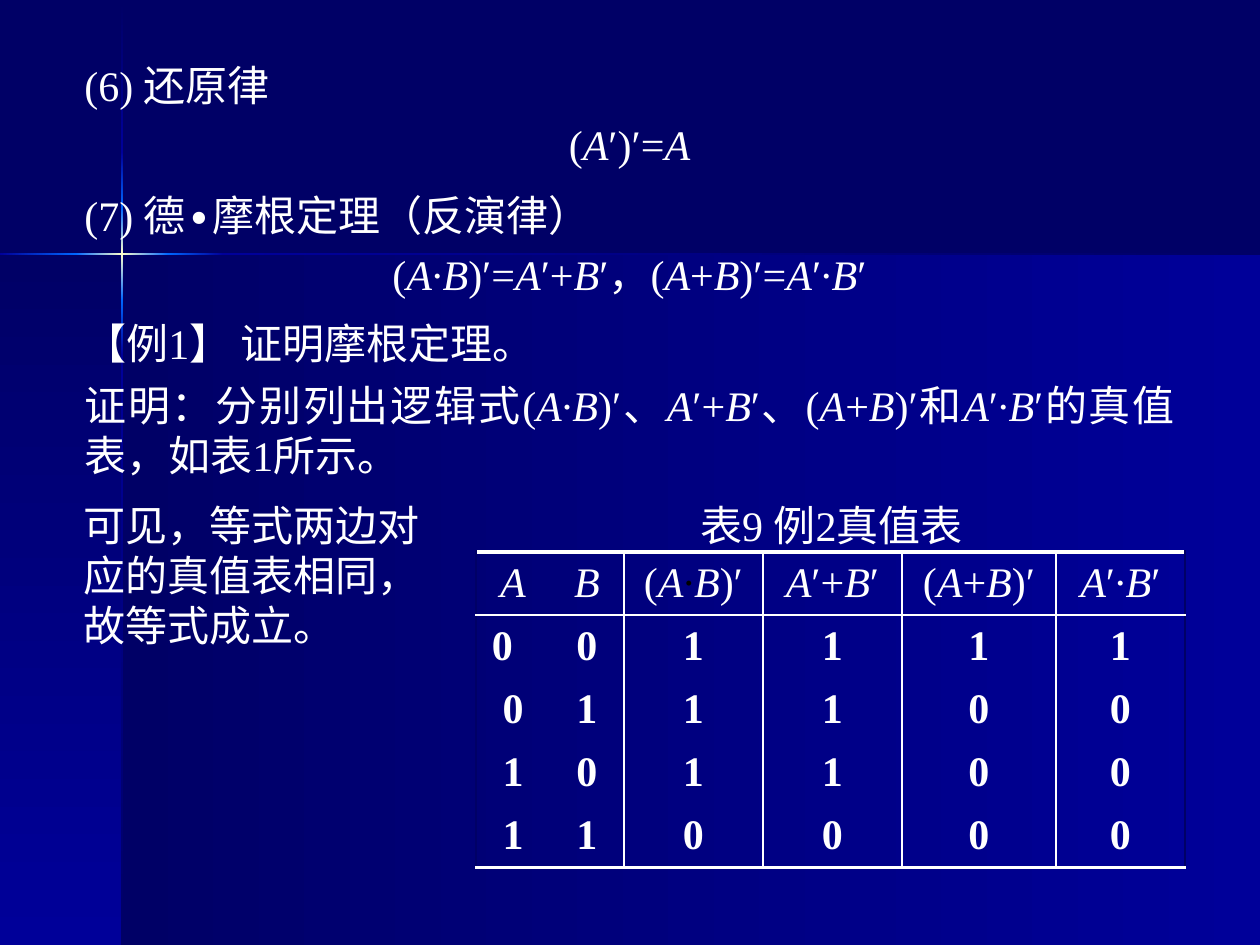
import itertools
from dataclasses import dataclass

import lxml.etree
import pptx
import pptx.dml.color
import pptx.enum.shapes
import pptx.enum.text
import pptx.oxml.ns
import pptx.util

EMU_PER_PX = 914400 / 126
ALIGN = pptx.enum.text.PP_ALIGN


@dataclass(frozen=True)
class Theme:
    navy: str = "000066"
    blue: str = "000099"
    bright: str = "0066FF"
    cream: str = "FFFFCC"
    white: str = "FFFFFF"
    black: str = "000000"
    font: str = "Times New Roman"
    alternate_font: str = "Comic Neue"
    text_size: int = 24
    thin_line: float = 1
    thick_line: float = 2.25


THEME = Theme()


def px(length):
    return pptx.util.Emu(round(length * EMU_PER_PX))


def rgb(colour):
    return pptx.dml.color.RGBColor.from_string(colour)


def add_element(parent, tag, **attributes):
    return lxml.etree.SubElement(parent, pptx.oxml.ns.qn(tag), **attributes)


def write_text(paragraph, text, alignment, bold=False, han_font=THEME.font):
    """Write text with the variables A and B in italics."""
    def style(character):
        return character in "AB", han_font if character > "⺀" else THEME.font

    paragraph.alignment = alignment
    for (italic, font_name), characters in itertools.groupby(text, style):
        run = paragraph.add_run()
        run.text = "".join(characters)
        run.font.name = font_name
        run.font.size = pptx.util.Pt(THEME.text_size)
        run.font.italic = italic
        run.font.bold = bold
        run.font.color.rgb = rgb(THEME.white)


def add_text(slide, box, text, alignment, han_font=THEME.font):
    text_frame = slide.shapes.add_textbox(*map(px, box)).text_frame
    text_frame.word_wrap = True
    text_frame.auto_size = pptx.enum.text.MSO_AUTO_SIZE.SHAPE_TO_FIT_TEXT
    write_text(text_frame.paragraphs[0], text, alignment, han_font=han_font)


def add_gradient(slide, box, colours, vertical=False):
    shape = slide.shapes.add_shape(
        pptx.enum.shapes.MSO_SHAPE.RECTANGLE, *map(px, box))
    shape.shadow.inherit = False
    shape.line.fill.background()
    shape.fill.gradient()
    shape.fill.gradient_angle = 270 if vertical else 0
    stops = shape.fill._fill._gradFill.find(pptx.oxml.ns.qn("a:gsLst"))
    for stop in list(stops):
        stops.remove(stop)
    for index, colour in enumerate(colours):
        position = 100000 * index // (len(colours) - 1)
        stop = add_element(stops, "a:gs", pos=str(position))
        add_element(stop, "a:srgbClr", val=colour)


def add_ray(slide, box, edges, colours, vertical=False):
    """Draw one beam in segments, brightest between its two bright edges."""
    left, top, width, height = box
    for (start, end), pair in zip(itertools.pairwise(edges), itertools.pairwise(colours)):
        if pair == (THEME.bright, THEME.bright):
            pair = (THEME.bright, THEME.cream, THEME.bright)
        segment = ((left, top + start, width, end - start) if vertical
                   else (left + start, top, end - start, height))
        add_gradient(slide, segment, pair, vertical)


def add_backdrop(slide, box):
    left, top, width, height = box
    slide.background.fill.solid()
    slide.background.fill.fore_color.rgb = rgb(THEME.navy)
    cross_x, cross_y, thickness = 122, 254, 2
    panel_top, panel_height = top + cross_y, height - cross_y

    # Two panels below the horizon
    shades = (THEME.navy, THEME.blue)
    add_gradient(slide, (left + cross_x, panel_top, width - cross_x, panel_height), shades)
    add_gradient(slide, (left, panel_top, cross_x, panel_height), shades, vertical=True)

    # Crossing beams of light
    beam = (THEME.navy, THEME.blue, THEME.bright, THEME.bright, THEME.blue, THEME.navy)
    add_ray(slide, (left + cross_x - 1, top, thickness, height),
            (1, 152, 208, 300, 355, height), beam, vertical=True)
    add_ray(slide, (left, top + cross_y - 1, width, thickness),
            (0, 76, 168, 223, width), beam[1:])


def add_laws(slide, box):
    left, top, width, _ = box
    lines = [
        (0, 63, "(6) 还原律", ALIGN.JUSTIFY, THEME.font),
        (59, 63, "(A′)′=A", ALIGN.CENTER, THEME.font),
        (130, 63, "(7) 德∙摩根定理（反演律）", ALIGN.JUSTIFY, THEME.alternate_font),
        (189, 63, "(A∙B)′=A′+B′，(A+B)′=A′∙B′", ALIGN.CENTER, THEME.font),
        (258, 63, "【例1】 证明摩根定理。", ALIGN.JUSTIFY, THEME.font),
        (320, 115, "证明：分别列出逻辑式(A∙B)′、A′+B′、(A+B)′和A′∙B′的真值表，如表1所示。",
         ALIGN.JUSTIFY, THEME.font),
    ]
    for offset, height, text, alignment, han_font in lines:
        add_text(slide, (left, top + offset, width, height), text, alignment, han_font)


def set_border(cell, side, colour=None, width=THEME.thin_line):
    properties = cell._tc.get_or_add_tcPr()
    line = add_element(properties, f"a:{side}", w=str(pptx.util.Pt(width)))
    if colour is None:
        add_element(line, "a:noFill")
    else:
        add_element(add_element(line, "a:solidFill"), "a:srgbClr", val=colour)


def add_truth_table(slide, box):
    left, top, width, height = box
    caption_height = 59
    add_text(slide, (left + 140, top, 431, 64), "表9 例2真值表", ALIGN.CENTER)

    header = ["A", "B", "(A∙B)′", "A′+B′", "(A+B)′", "A′∙B′"]
    rows = [header] + [list(digits) for digits in ("001111", "011100", "101100", "110000")]
    column_widths = (74, 74, 139, 139, 154, 129)
    body = (left, top + caption_height, width, height - caption_height)
    table = slide.shapes.add_table(len(rows), len(header), *map(px, body)).table
    for column, column_width in zip(table.columns, column_widths):
        column.width = px(column_width)

    # Rules by edge: a frame in navy, thick top and bottom, none between A and B
    thin, thick = THEME.thin_line, THEME.thick_line
    vertical_rules = [THEME.navy, None] + [THEME.white] * 4 + [THEME.navy]
    horizontal_rules = [(THEME.white, thick), (THEME.white, thin)]
    horizontal_rules += [(None, thin)] * 3 + [(THEME.white, thick)]
    for row_index, values in enumerate(rows):
        for column_index, value in enumerate(values):
            cell = table.cell(row_index, column_index)
            cell.vertical_anchor = pptx.enum.text.MSO_ANCHOR.MIDDLE
            write_text(cell.text_frame.paragraphs[0], value, ALIGN.CENTER, bold=row_index > 0)
            set_border(cell, "lnL", vertical_rules[column_index])
            set_border(cell, "lnR", vertical_rules[column_index + 1])
            set_border(cell, "lnT", *horizontal_rules[row_index])
            set_border(cell, "lnB", *horizontal_rules[row_index + 1])
            cell.fill.background()

    # The first product dot is black, and the first zero sits left of centre
    table.cell(0, 2).text_frame.paragraphs[0].runs[2].font.color.rgb = rgb(THEME.black)
    table.cell(1, 0).margin_right = px(34)


def add_conclusion(slide, box):
    add_text(slide, box, "可见，等式两边对应的真值表相同，故等式成立。", ALIGN.LEFT)


def main():
    presentation = pptx.Presentation()
    presentation.slide_width, presentation.slide_height = px(1260), px(945)
    slide = presentation.slides.add_slide(presentation.slide_layouts[6])
    add_backdrop(slide, (0, 0, 1260, 945))
    add_laws(slide, (72, 53, 1115, 435))
    add_truth_table(slide, (476, 493, 709, 374))
    add_conclusion(slide, (71, 493, 370, 165))
    presentation.save("out.pptx")


if __name__ == "__main__":
    main()
